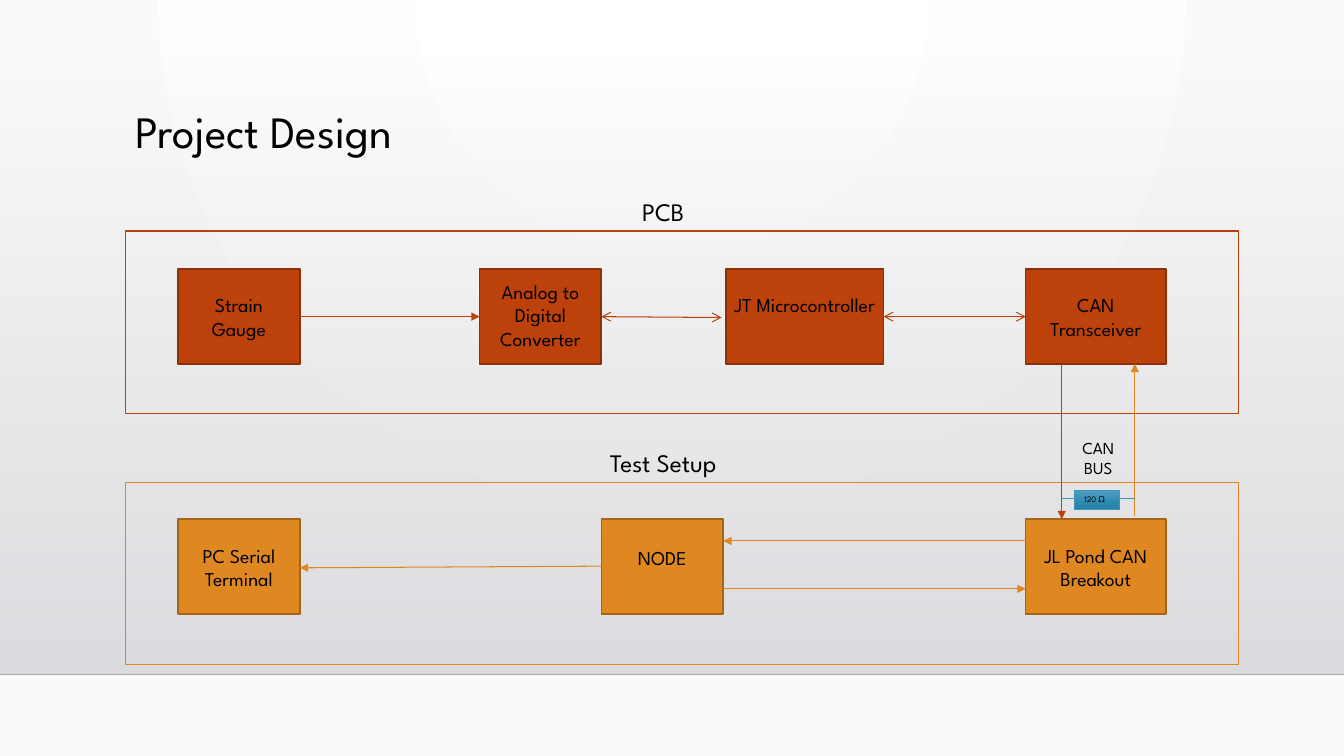
from lxml import etree
from pptx import Presentation
from pptx import util as u
from pptx.dml.color import RGBColor
from pptx.enum import shapes, text
from pptx.oxml import parse_xml
from pptx.oxml.ns import nsdecls, qn

BLACK = RGBColor(0, 0, 0)
WHITE = RGBColor(0xFF, 0xFF, 0xFF)
MIST = RGBColor(0xFA, 0xFA, 0xFA)
HAZE = RGBColor(0xDC, 0xDC, 0xE0)
FLOOR = RGBColor(0xDE, 0xDE, 0xE2)
EDGE = RGBColor(0, 0, 1)
RUST = RGBColor(0xBC, 0x41, 0x0A)
RUST_DARK = RGBColor(0x8B, 0x30, 0x07)
AMBER = RGBColor(0xDF, 0x88, 0x22)
AMBER_DARK = RGBColor(0xA5, 0x65, 0x19)
BLUE = RGBColor(0x42, 0x94, 0xB6)
BLUE_STOPS = [(0, RGBColor(0x4F, 0x9E, 0xC0), 100),
              (69, RGBColor(0x2A, 0x87, 0xAE), 100),
              (100, RGBColor(0x28, 0x80, 0xA5), 100)]
DOWNWARD = '<a:lin ang="5400000" scaled="0"/>'
RADIAL = ('<a:path path="circle"><a:fillToRect l="43000" t="0" '
          'r="43000" b="100000"/></a:path>')


class Diagram:
    """Style and current page; lengths are cells of a 160 by 90 grid."""
    font = "League Spartan"
    columns, rows = 160, 90

    def __init__(self, deck):
        self.page = deck.slides.add_slide(deck.slide_layouts[6])
        self.column = deck.slide_width / self.columns
        self.row = deck.slide_height / self.rows

    def place(self, left, top, width, height):
        return (u.Emu(round(left * self.column)), u.Emu(round(top * self.row)),
                u.Emu(round(width * self.column)), u.Emu(round(height * self.row)))

    def blend(self, solid, stops, direction):
        """Put a gradient of (position, colour, opacity) in place of a solid fill."""
        marks = "".join(
            f'<a:gs pos="{position * 1000}"><a:srgbClr val="{colour}">'
            f'<a:alpha val="{opacity * 1000}"/></a:srgbClr></a:gs>'
            for position, colour, opacity in stops)
        solid.getparent().replace(solid, parse_xml(
            f'<a:gradFill {nsdecls("a")} rotWithShape="1">'
            f'<a:gsLst>{marks}</a:gsLst>{direction}</a:gradFill>'))

    def backdrop(self, stops):
        self.page.background.fill.solid()
        solid = self.page.element.xpath(".//p:bgPr/a:solidFill")[0]
        self.blend(solid, stops, RADIAL)

    def box(self, area, fill=None, line=None, weight=0.75, stops=None):
        shape = self.page.shapes.add_shape(
            shapes.MSO_SHAPE.RECTANGLE, *self.place(*area))
        shape.shadow.inherit = False
        if fill is None and stops is None:
            shape.fill.background()
        else:
            shape.fill.solid()
            shape.fill.fore_color.rgb = fill or WHITE
        if stops:
            self.blend(shape.element.xpath("./p:spPr/a:solidFill")[0], stops, DOWNWARD)
        if line is None:
            shape.line.fill.background()
        else:
            shape.line.color.rgb = line
            shape.line.width = u.Pt(weight)

    def label(self, area, words, size, align=text.PP_ALIGN.CENTER, grow=True, spacing=None):
        frame = self.page.shapes.add_textbox(*self.place(*area)).text_frame
        frame.word_wrap = True
        if grow:
            frame.auto_size = text.MSO_AUTO_SIZE.SHAPE_TO_FIT_TEXT
        para = frame.paragraphs[0]
        para.alignment = align
        if spacing:
            para.line_spacing = spacing
        span = para.add_run()
        span.text = words
        span.font.name = self.font
        span.font.size = u.Pt(size)
        span.font.color.rgb = BLACK

    def line(self, start, end, colour, weight=0.75, head=None, tail=None, opacity=100):
        connector = self.page.shapes.add_connector(
            shapes.MSO_CONNECTOR.STRAIGHT, *self.place(*start, *end))
        connector.line.color.rgb = colour
        connector.line.width = u.Pt(weight)
        properties = connector.element.spPr
        outline = properties.find(qn("a:ln"))
        if opacity < 100:
            paint = outline.find(".//" + qn("a:srgbClr"))
            etree.SubElement(paint, qn("a:alpha"), val=str(opacity * 1000))
        for end_name, kind in (("a:headEnd", head), ("a:tailEnd", tail)):
            if kind:
                etree.SubElement(outline, qn(end_name), type=kind)
        etree.SubElement(properties, qn("a:effectLst"))

    def group_frame(self, top, heading, colour):
        self.box((15, top, 132.4, 21.7), line=colour)
        self.label((69.6, top - 4.7, 18.7, 4.8), heading, 18)

    def block(self, left, top, width, words, fill, line, drop=2.3, height=6.8, spread=0):
        """A filled box with its caption; spread widens the caption on both sides."""
        self.box((left, top, width, 11.3), fill, line, 1.25)
        self.label((left - spread, top + drop, width + 2 * spread, height), words, 14)


def main():
    deck = Presentation()
    deck.slide_width, deck.slide_height = u.Inches(13.33), u.Inches(7.5)
    diagram = Diagram(deck)

    # Backdrop and title
    diagram.backdrop([(0, WHITE, 100), (100, MIST, 100)])
    diagram.box((0, 6.1, 160, 74.2), stops=[(0, HAZE, 0), (100, FLOOR, 100)])
    diagram.line((0, 80.3), (160, 80.3), EDGE, 1, opacity=20)
    diagram.label((14.9, 12.5, 126, 13.8), "Project Design", 32,
                  text.PP_ALIGN.LEFT, grow=False, spacing=0.9)

    # Shared edges of the two rows of blocks
    first, last = 21.2, 122.1
    narrow, wide = 14.5, 16.7
    converter, controller, host = 57.1, 86.4, 71.6
    upper, lower = 32, 61.8
    upper_end = upper + 11.3

    # Circuit board
    diagram.group_frame(27.5, "PCB", RUST)
    rust = (RUST, RUST_DARK)
    diagram.block(first, upper, narrow, "Strain Gauge", *rust)
    diagram.block(converter, upper, narrow, "Analog to Digital Converter", *rust,
                  drop=0.7, height=9.7)
    diagram.block(controller, upper, 18.8, "JT Microcontroller", *rust, spread=0.55)
    diagram.block(last, upper, wide, "CAN Transceiver", *rust)

    # Test setup
    diagram.group_frame(57.4, "Test Setup", AMBER)
    amber = (AMBER, AMBER_DARK)
    diagram.block(first, lower, narrow, "PC Serial Terminal", *amber)
    diagram.block(host, lower, narrow, "NODE", *amber, drop=2.6, height=4.1)
    diagram.block(last, lower, wide, "JL Pond CAN Breakout", *amber)

    # Bus with its resistor
    down, up = 126.4, 135.1
    diagram.line((down, upper_end), (down, lower), RUST, tail="triangle")
    diagram.line((up, 61.4), (up, upper_end), AMBER, tail="triangle")
    diagram.line((down, 59.3), (up, 59.3), BLUE)
    diagram.box((127.9, 58.4, 5.4, 2.3), line=BLUE, stops=BLUE_STOPS)
    diagram.label((127.9, 58.2, 5.4, 2.4), "120 Ω", 6, text.PP_ALIGN.LEFT)
    diagram.label((down, 51.5, up - down, 6), "CAN BUS", 12)

    # Signals between blocks
    signals = [
        ((first + narrow, 37.7), (converter, 37.7), RUST, None, "triangle"),
        ((converter + narrow, 37.7), (85.9, 37.8), RUST, "arrow", "arrow"),
        ((controller + 18.8, 37.7), (last, 37.7), RUST, "arrow", "arrow"),
        ((last, 64.4), (host + narrow, 64.4), AMBER, None, "triangle"),
        ((host + narrow, 70.1), (last, 70.1), AMBER, None, "triangle"),
        ((host, 67.4), (first + narrow, 67.6), AMBER, None, "triangle"),
    ]
    for start, end, colour, head, tail in signals:
        diagram.line(start, end, colour, head=head, tail=tail)

    deck.save("out.pptx")


if __name__ == "__main__":
    main()
